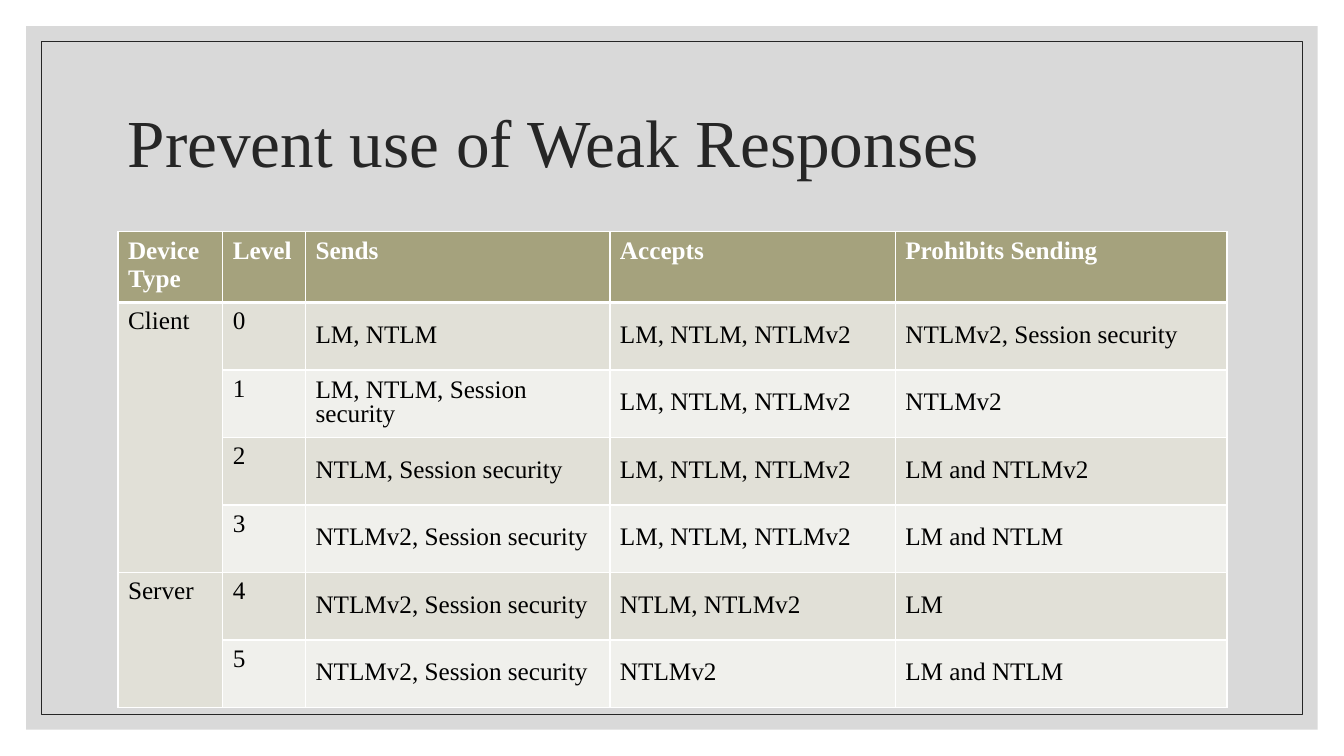
from lxml.etree import SubElement
from pptx import Presentation
from pptx.dml.color import RGBColor
from pptx.enum.shapes import MSO_SHAPE as Shape
from pptx.enum.text import MSO_ANCHOR as Anchor
from pptx.oxml.ns import qn
from pptx.util import Inches, Pt

COLORS = {
    "panel": "D9D9D9",
    "ink": "262626",
    "header": "A5A27D",
    "odd": "E1E0D7",
    "even": "F0F0EC",
    "white": "FFFFFF",
    "black": "000000",
}
FONT = "Times New Roman"
WIDTH, HEIGHT = 13.33, 7.5
LEFT, CONTENT_WIDTH = 1.17, 11
TABLE_TOP = 2.3
COLUMN_WIDTHS = [1.04, 0.82, 3.02, 2.83, 3.29]
HEADER_HEIGHT, ROW_HEIGHT = 0.65, 0.67

HEADINGS = ["Device Type", "Level", "Sends", "Accepts", "Prohibits Sending"]
ALL_VERSIONS = "LM, NTLM, NTLMv2"
NEWEST = "NTLMv2, Session security"
DEVICES = {
    "Client": [
        ("0", "LM, NTLM", ALL_VERSIONS, NEWEST),
        ("1", "LM, NTLM, Session security", ALL_VERSIONS, "NTLMv2"),
        ("2", "NTLM, Session security", ALL_VERSIONS, "LM and NTLMv2"),
        ("3", NEWEST, ALL_VERSIONS, "LM and NTLM"),
    ],
    "Server": [
        ("4", NEWEST, "NTLM, NTLMv2", "LM"),
        ("5", NEWEST, "NTLMv2", "LM and NTLM"),
    ],
}


def color(name):
    return RGBColor.from_string(COLORS[name])


def add_frame(slide, inset, fill=None, line=None):
    """Draw a rectangle at an equal distance from all slide edges."""
    shape = slide.shapes.add_shape(
        Shape.RECTANGLE, Inches(inset), Inches(inset),
        Inches(WIDTH - 2 * inset), Inches(HEIGHT - 2 * inset))
    shape.shadow.inherit = False
    if fill:
        shape.fill.solid()
        shape.fill.fore_color.rgb = color(fill)
    else:
        shape.fill.background()
    if line:
        shape.line.color.rgb = color(line)
        shape.line.width = Pt(0.5)
    else:
        shape.line.fill.background()


def format_text(paragraph, size, color_name, bold=False):
    for run in paragraph.runs:
        run.font.name = FONT
        run.font.size = Pt(size)
        run.font.bold = bold
        run.font.color.rgb = color(color_name)


def add_title(slide, text):
    box = slide.shapes.add_textbox(
        Inches(LEFT), Inches(0.7), Inches(CONTENT_WIDTH), Inches(1.5))
    frame = box.text_frame
    frame.word_wrap = True
    frame.vertical_anchor = Anchor.MIDDLE
    frame.text = text
    frame.paragraphs[0].line_spacing = 0.9
    format_text(frame.paragraphs[0], 48, "ink")


def style_cell(cell, fill, bottom_width=1):
    """Give a cell its fill and white borders, which come first in the XML."""
    properties = cell._tc.get_or_add_tcPr()
    for side in ("lnL", "lnR", "lnT", "lnB"):
        width = bottom_width if side == "lnB" else 1
        line = SubElement(properties, qn(f"a:{side}"), w=str(Pt(width)))
        solid = SubElement(line, qn("a:solidFill"))
        SubElement(solid, qn("a:srgbClr"), val=COLORS["white"])
    cell.fill.solid()
    cell.fill.fore_color.rgb = color(fill)


def write_cell(cell, text, color_name="black", bold=False, centered=False):
    cell.text_frame.text = text
    paragraph = cell.text_frame.paragraphs[0]
    format_text(paragraph, 18, color_name, bold)
    if centered:
        cell.vertical_anchor = Anchor.MIDDLE
        paragraph.line_spacing = 0.85
        paragraph.space_before = Pt(4.5)


def add_level_table(slide):
    row_count = sum(len(levels) for levels in DEVICES.values())
    table = slide.shapes.add_table(
        row_count + 1, len(HEADINGS), Inches(LEFT), Inches(TABLE_TOP),
        Inches(CONTENT_WIDTH),
        Inches(HEADER_HEIGHT + row_count * ROW_HEIGHT)).table
    for column, width in zip(table.columns, COLUMN_WIDTHS):
        column.width = Inches(width)
    for index, row in enumerate(table.rows):
        row.height = Inches(ROW_HEIGHT if index else HEADER_HEIGHT)

    for column, heading in enumerate(HEADINGS):
        style_cell(table.cell(0, column), "header", bottom_width=3)
        write_cell(table.cell(0, column), heading, "white", bold=True)

    row = 1
    for device, levels in DEVICES.items():
        first = table.cell(row, 0)
        first.merge(table.cell(row + len(levels) - 1, 0))
        write_cell(first, device)
        for values in levels:
            style_cell(table.cell(row, 0), "odd")
            for column, value in enumerate(values, start=1):
                cell = table.cell(row, column)
                style_cell(cell, "odd" if row % 2 else "even")
                write_cell(cell, value, centered=column > 1)
            row += 1


def main():
    presentation = Presentation()
    presentation.slide_width = Inches(WIDTH)
    presentation.slide_height = Inches(HEIGHT)
    slide = presentation.slides.add_slide(presentation.slide_layouts[6])
    add_frame(slide, 0.26, fill="panel")
    add_frame(slide, 0.41, line="ink")
    add_title(slide, "Prevent use of Weak Responses")
    add_level_table(slide)
    presentation.save("out.pptx")


if __name__ == "__main__":
    main()
